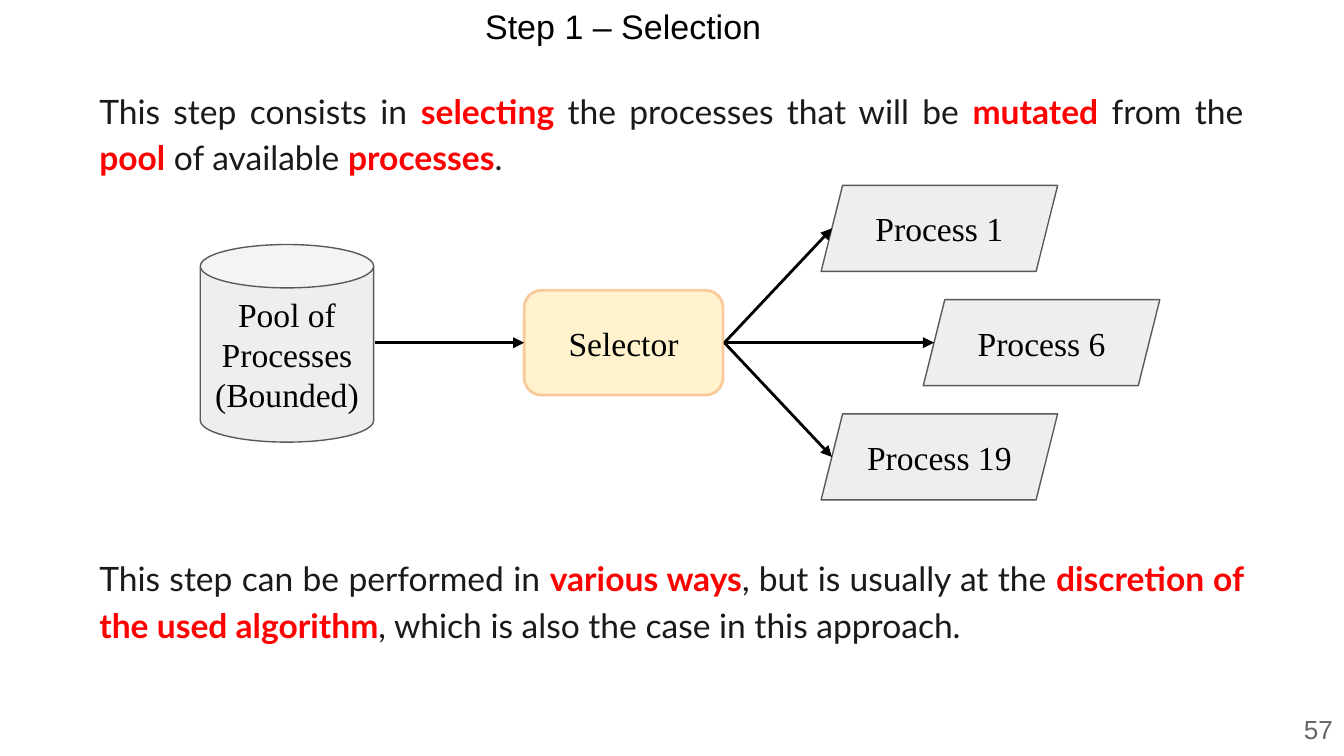
"""Build the slide that explains the selection step of the process."""
from dataclasses import dataclass

from lxml import etree
from pptx import Presentation
from pptx.dml.color import RGBColor
from pptx.enum.shapes import MSO_CONNECTOR, MSO_SHAPE
from pptx.enum.text import MSO_ANCHOR, MSO_AUTO_SIZE, PP_ALIGN
from pptx.oxml.ns import qn
from pptx.util import Inches, Pt

CAN = MSO_SHAPE.CAN
ROUNDED = MSO_SHAPE.ROUNDED_RECTANGLE
PARALLELOGRAM = MSO_SHAPE.PARALLELOGRAM
STRAIGHT = MSO_CONNECTOR.STRAIGHT
TOP, MIDDLE = MSO_ANCHOR.TOP, MSO_ANCHOR.MIDDLE
LEFT, CENTER, JUSTIFY = PP_ALIGN.LEFT, PP_ALIGN.CENTER, PP_ALIGN.JUSTIFY
NO_AUTOFIT = MSO_AUTO_SIZE.NONE

BLACK, RED, GREY = "000000", "FF0000", "666666"
SERIF, SANS, BODY = "Times New Roman", "Arial", "Lato"
MID_Y = 2.55
ROW_GAP = 0.85


@dataclass
class Node:
    text: str
    kind: int
    x: float
    y: float
    w: float
    h: float
    adj: float = 0.25
    fill: str = "EEEEEE"
    line: str = "595959"
    weight: float = 0.75


@dataclass
class Arrow:
    x1: float
    y1: float
    x2: float
    y2: float


@dataclass
class Paragraph:
    text: str
    y: float


def rgb(value: str) -> RGBColor:
    return RGBColor.from_string(value)


def write(sp, text: str, *, font: str = SERIF, size: float = 18, color: str = BLACK,
          align: int = CENTER, anchor: int = MIDDLE, spacing: float = 1.0,
          after: float = 0) -> None:
    """Fill a shape with text, where *marked* parts become bold and red."""
    tf = sp.text_frame
    tf.word_wrap = True
    tf.auto_size = NO_AUTOFIT
    tf.vertical_anchor = anchor
    tf.margin_left = tf.margin_right = tf.margin_top = tf.margin_bottom = Inches(0.1)
    p = tf.paragraphs[0]
    p.alignment = align
    p.line_spacing = spacing
    p.space_before, p.space_after = Pt(0), Pt(after)
    for i, part in enumerate(text.split("*")):
        marked = i % 2 == 1
        r = p.add_run()
        r.text = part
        r.font.name, r.font.size, r.font.bold = font, Pt(size), marked
        r.font.color.rgb = rgb(RED if marked else color)


def add_node(s, node: Node) -> None:
    """Draw a labelled diagram shape."""
    sp = s.shapes.add_shape(node.kind, Inches(node.x), Inches(node.y),
                            Inches(node.w), Inches(node.h))
    sp.adjustments[0] = node.adj
    sp.shadow.inherit = False
    sp.fill.solid()
    sp.fill.fore_color.rgb = rgb(node.fill)
    sp.line.color.rgb = rgb(node.line)
    sp.line.width = Pt(node.weight)
    write(sp, node.text)


def add_arrow(s, arrow: Arrow) -> None:
    """Draw a straight line with a triangle at its end."""
    cxn = s.shapes.add_connector(STRAIGHT, Inches(arrow.x1), Inches(arrow.y1),
                                 Inches(arrow.x2), Inches(arrow.y2))
    cxn.line.color.rgb = rgb(BLACK)
    cxn.line.width = Pt(1.5)
    etree.SubElement(cxn.line._get_or_add_ln(), qn("a:tailEnd"), type="triangle")
    etree.SubElement(cxn._element.spPr, qn("a:effectLst"))


def add_text(s, text: str, x: float, y: float, w: float, h: float, **fmt) -> None:
    """Add a text box with formatted text."""
    write(s.shapes.add_textbox(Inches(x), Inches(y), Inches(w), Inches(h)), text, **fmt)


PARAGRAPHS = [
    Paragraph("This step consists in *selecting* the processes that will be *mutated* "
              "from the *pool* of available *processes*.", 0.53),
    Paragraph("This step can be performed in *various ways*, but is usually at the "
              "*discretion of the used algorithm*, which is also the case in this "
              "approach.", 4.01),
]
NODES = [
    Node("Pool of Processes (Bounded)", CAN, 1.49, 1.82, 1.29, 1.47),
    Node("Selector", ROUNDED, 3.9, 2.16, 1.48, 0.78, 0.167, "FFF2CC", "F9CB9C", 1.5),
]
ARROWS = [Arrow(2.79, MID_Y, 3.9, MID_Y)]
for row, (label, left) in enumerate(
        [("Process 1", 6.11), ("Process 6", 6.87), ("Process 19", 6.11)]):
    center = MID_Y + (row - 1) * ROW_GAP
    NODES.append(Node(label, PARALLELOGRAM, left, center - 0.32, 1.76, 0.64))
    ARROWS.append(Arrow(5.39, MID_Y, left + 0.08, center))


def main() -> None:
    """Assemble the slide and save it."""
    prs = Presentation()
    prs.slide_width = Inches(10)
    prs.slide_height = prs.slide_width * 9 // 16
    s = prs.slides.add_slide(prs.slide_layouts[5])
    title = s.shapes.title
    title.left, title.top = Inches(3.51), Inches(0)
    title.width, title.height = Inches(4.26), Inches(0.38)
    write(title, "Step 1 – Selection", font=SANS, size=18.2, align=LEFT)
    for para in PARAGRAPHS:
        add_text(s, para.text, 0.64, para.y, 8.71, 0.85, font=BODY, color="1A1A1A",
                 align=JUSTIFY, anchor=TOP, spacing=1.15, after=12)
    for node in NODES:
        add_node(s, node)
    for arrow in ARROWS:
        add_arrow(s, arrow)
    add_text(s, "57", 9.59, 5.23, 0.44, 0.39, font=SANS, size=14, color=GREY)
    prs.save("out.pptx")


if __name__ == "__main__":
    main()
